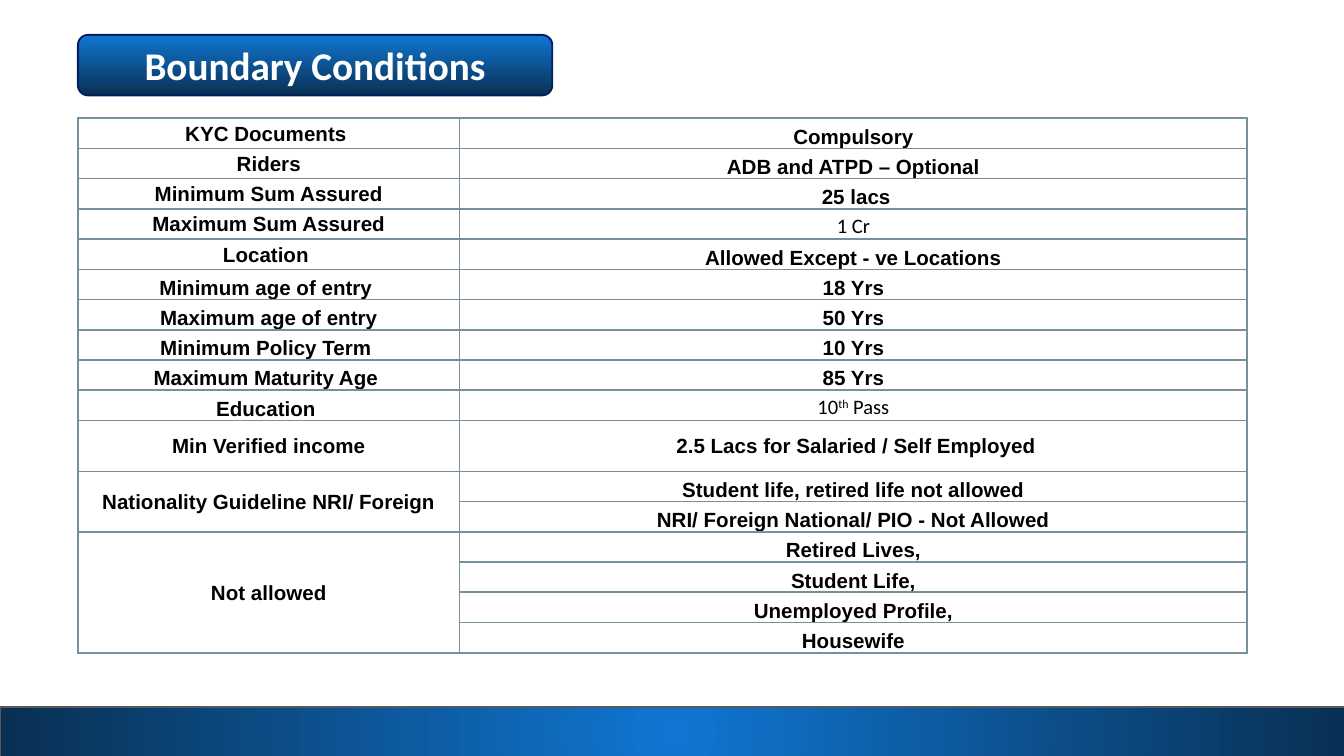
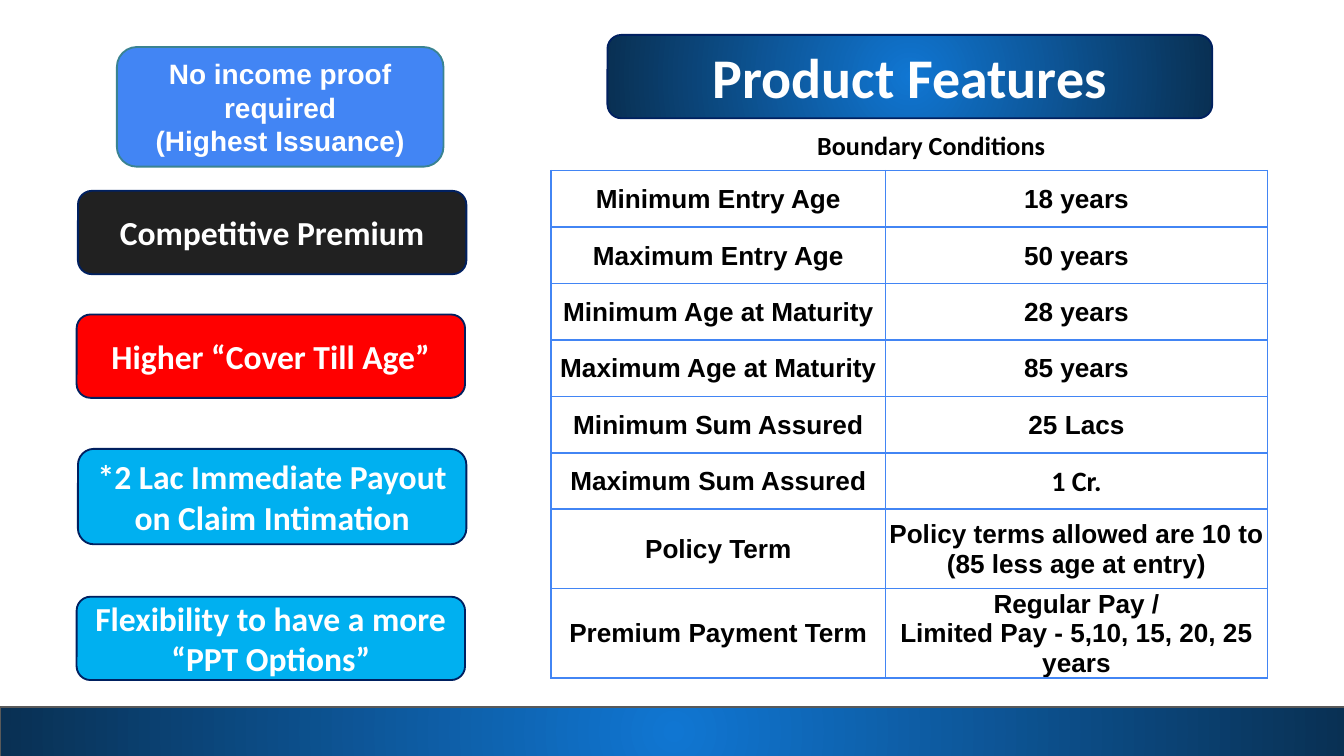
from lxml import etree
from pptx import Presentation
from pptx.dml.color import RGBColor
from pptx.enum.shapes import MSO_SHAPE
from pptx.enum.text import MSO_ANCHOR, MSO_AUTO_SIZE, PP_ALIGN
from pptx.oxml import parse_xml
from pptx.oxml.ns import nsdecls, qn
from pptx.util import Inches, Pt

BRIGHT, DEEP, NAVY = "1076D2", "093053", "002060"
WHITE, BLACK, GREY = "FFFFFF", "000000", "595959"
SKY, BLUE, TEAL, SLATE = "00B0F0", "4285F4", "3A8391", "78909C"
SIDES = ("left", "top", "right", "bottom")
INSETS = (0.07, 0.04, 0.07, 0.04)
CELL_INSETS = (0.01, 0.01, 0.01, 0)

CONDITIONS = [
    ("KYC Documents ", "Compulsory"),
    ("Riders", "ADB and ATPD – Optional"),
    ("Minimum Sum Assured", " 25 lacs"),
    ("Maximum Sum Assured", "1 Cr"),
    ("Location ", "Allowed Except - ve Locations"),
    ("Minimum age of entry ", "18 Yrs"),
    ("Maximum age of entry", "50 Yrs"),
    ("Minimum Policy Term ", "10 Yrs"),
    ("Maximum Maturity Age ", "85 Yrs"),
    ("Education ", "10^th^ Pass"),
    ("Min Verified income", " 2.5 Lacs for Salaried / Self Employed"),
    ("Nationality Guideline NRI/ Foreign", "Student life, retired life not allowed"),
    ("", "NRI/ Foreign National/ PIO - Not Allowed"),
    ("Not allowed", "Retired Lives,"),
    ("", "Student Life,"),
    ("", "Unemployed Profile,"),
    ("", "Housewife"),
]
FEATURES = [
    ("Minimum Entry Age", "18 years"),
    ("Maximum Entry Age", "50 years"),
    ("Minimum Age at Maturity", "28 years"),
    ("Maximum Age at Maturity", "85 years"),
    ("Minimum Sum Assured", "25 Lacs"),
    ("Maximum Sum Assured", "1 Cr."),
    ("Policy Term", "Policy terms allowed are 10 to \n(85 less age at entry)"),
    ("Premium Payment Term", "Regular Pay /\nLimited Pay - 5,10, 15, 20, 25 years"),
]
BENEFITS = [
    ("Competitive Premium", "212121", (0.58, 1.42, 2.89, 0.62)),
    ("Higher “Cover Till Age”", "FF0000", (0.57, 2.34, 2.89, 0.62)),
    ("*2 Lac Immediate Payout on Claim Intimation", SKY, (0.58, 3.34, 2.89, 0.71)),
    ("Flexibility to have a more “PPT Options”", SKY, (0.57, 4.44, 2.89, 0.62)),
]


def color(value):
    """Turn a hex string into a colour."""
    return RGBColor.from_string(value)


def style(size, name="Calibri", tint=WHITE, bold=True):
    """Return the format values of a run of text."""
    return {"size": Pt(size), "name": name, "bold": bold, "tint": tint}


def write_text(frame, text, look):
    """Write centred paragraphs split at line ends, with raised parts between carets."""
    for index, line in enumerate(text.split("\n")):
        para = frame.paragraphs[0] if index == 0 else frame.add_paragraph()
        para.alignment = PP_ALIGN.CENTER
        for order, part in enumerate(line.split("^")):
            span = para.add_run()
            span.text = part
            for key, value in look.items():
                if key == "tint":
                    span.font.color.rgb = color(value)
                else:
                    setattr(span.font, key, value)
            if order % 2:
                span.font._element.set("baseline", "30000")


def set_frame(frame, anchor=MSO_ANCHOR.MIDDLE):
    """Set the wrapping, anchor and insets of a text frame."""
    frame.word_wrap = True
    frame.auto_size = MSO_AUTO_SIZE.NONE
    frame.vertical_anchor = anchor
    for side, inset in zip(SIDES, INSETS):
        setattr(frame, f"margin_{side}", Inches(inset))


def fill_gradient(shape, radial):
    """Fill a shape with the blue gradient, from the centre or downwards."""
    shape.fill.gradient()
    for stop, tint, position in zip(shape.fill.gradient_stops, (BRIGHT, DEEP), (0, 1)):
        stop.color.rgb = color(tint)
        stop.position = position
    if not radial:
        shape.fill.gradient_angle = 270
        return
    gradient = shape._element.spPr.find(qn("a:gradFill"))
    gradient.replace(gradient.find(qn("a:lin")), parse_xml(
        f'<a:path {nsdecls("a")} path="circle">'
        '<a:fillToRect l="50000" t="50000" r="50000" b="50000"/></a:path>'))


def add_panel(page, kind, box, line, width=1):
    """Add an outlined preset shape without a shadow."""
    panel = page.shapes.add_shape(kind, *map(Inches, box))
    panel.shadow.inherit = False
    panel.line.color.rgb = color(line)
    panel.line.width = Pt(width)
    return panel


def add_title(page, box, text, size, radial):
    """Set the title placeholder on a rounded gradient banner."""
    title = page.shapes.title
    for key, value in zip(("left", "top", "width", "height"), box):
        setattr(title, key, Inches(value))
    set_frame(title.text_frame)
    write_text(title.text_frame, text, style(size))
    banner = add_panel(page, MSO_SHAPE.ROUNDED_RECTANGLE, box, NAVY)
    fill_gradient(banner, radial)
    title._element.addprevious(banner._element)


def add_button(page, box, text, fill, look, line=NAVY):
    """Add a rounded box with centred text."""
    button = add_panel(page, MSO_SHAPE.ROUNDED_RECTANGLE, box, line)
    button.fill.solid()
    button.fill.fore_color.rgb = color(fill)
    set_frame(button.text_frame)
    write_text(button.text_frame, text, look)


def add_caption(page, box, text):
    """Add the heading above a table."""
    caption = page.shapes.add_textbox(*map(Inches, box))
    set_frame(caption.text_frame, MSO_ANCHOR.TOP)
    write_text(caption.text_frame, text, style(14, tint=BLACK))


def add_footer(page, box=(0, 5.26, 10.03, 0.37)):
    """Add the gradient band at the foot of a page."""
    fill_gradient(add_panel(page, MSO_SHAPE.RECTANGLE, box, GREY, 0.75), True)


def set_borders(cell, tint):
    """Draw all four borders of a cell."""
    properties = cell._tc.get_or_add_tcPr()
    for index, tag in enumerate(("lnL", "lnR", "lnT", "lnB")):
        border = etree.Element(qn(f"a:{tag}"), w=str(Pt(1)))
        fill = etree.SubElement(border, qn("a:solidFill"))
        etree.SubElement(fill, qn("a:srgbClr"), val=tint)
        properties.insert(index, border)


def add_grid(page, box, rows, first_width, tall, line, look, special, bottom, merges=()):
    """Add a two-column table whose ordinary rows share the height left by tall ones."""
    width, height = box[2:]
    plain = (height - sum(tall.values())) / (len(rows) - len(tall))
    table = page.shapes.add_table(len(rows), 2, *map(Inches, box)).table
    table.first_row = table.horz_banding = False
    for column, part in zip(table.columns, (first_width, width - first_width)):
        column.width = Inches(part)
    for row, texts in enumerate(rows):
        table.rows[row].height = Inches(tall.get(row, plain))
        for column, text in enumerate(texts):
            cell = table.cell(row, column)
            cell.fill.background()
            set_borders(cell, line)
            for side, inset in zip(SIDES, CELL_INSETS):
                setattr(cell, f"margin_{side}", Inches(inset))
            low = (row, column) in bottom
            cell.vertical_anchor = MSO_ANCHOR.BOTTOM if low else MSO_ANCHOR.MIDDLE
            if text:
                write_text(cell.text_frame, text, special.get((row, column), look))
    for first, last in merges:
        table.cell(first, 0).merge(table.cell(last, 0))


def build_conditions(page):
    """Build the page of boundary conditions."""
    add_title(page, (0.58, 0.26, 3.53, 0.45), "Boundary Conditions", 21, False)
    light = style(11, tint=BLACK, bold=False)
    bottom = {(row, 0) for row in range(5, 10)}
    bottom |= {(row, 1) for row in range(len(CONDITIONS)) if row != 10}
    add_grid(page, (0.58, 0.88, 8.7, 3.98), CONDITIONS, 2.84, {10: 0.38}, SLATE,
             style(11, "Arial", BLACK), {(3, 1): light, (9, 1): light}, bottom,
             [(11, 12), (13, 16)])
    add_footer(page)


def build_features(page):
    """Build the page of product features."""
    add_title(page, (4.52, 0.26, 4.5, 0.62), "Product Features", 30, True)
    for text, fill, box in BENEFITS:
        add_button(page, box, text, fill, style(18))
    add_grid(page, (4.1, 1.27, 5.33, 3.64), FEATURES, 2.49, {6: 0.59, 7: 0.53}, BLUE,
             style(14, "Arial", BLACK), {(5, 1): style(15, tint=BLACK)}, {(7, 1)})
    add_caption(page, (4.43, 0.92, 5, 0.31), "Boundary Conditions")
    add_button(page, (0.87, 0.35, 2.43, 0.89),
               "No income proof required\n(Highest Issuance)", BLUE, style(15, "Arial"), TEAL)
    add_footer(page)


def main():
    """Build and save the deck."""
    deck = Presentation()
    deck.slide_width = Inches(10)
    deck.slide_height = deck.slide_width * 9 // 16
    for build in (build_conditions, build_features):
        build(deck.slides.add_slide(deck.slide_layouts.get_by_name("Title Only")))
    deck.save("out.pptx")


if __name__ == "__main__":
    main()
